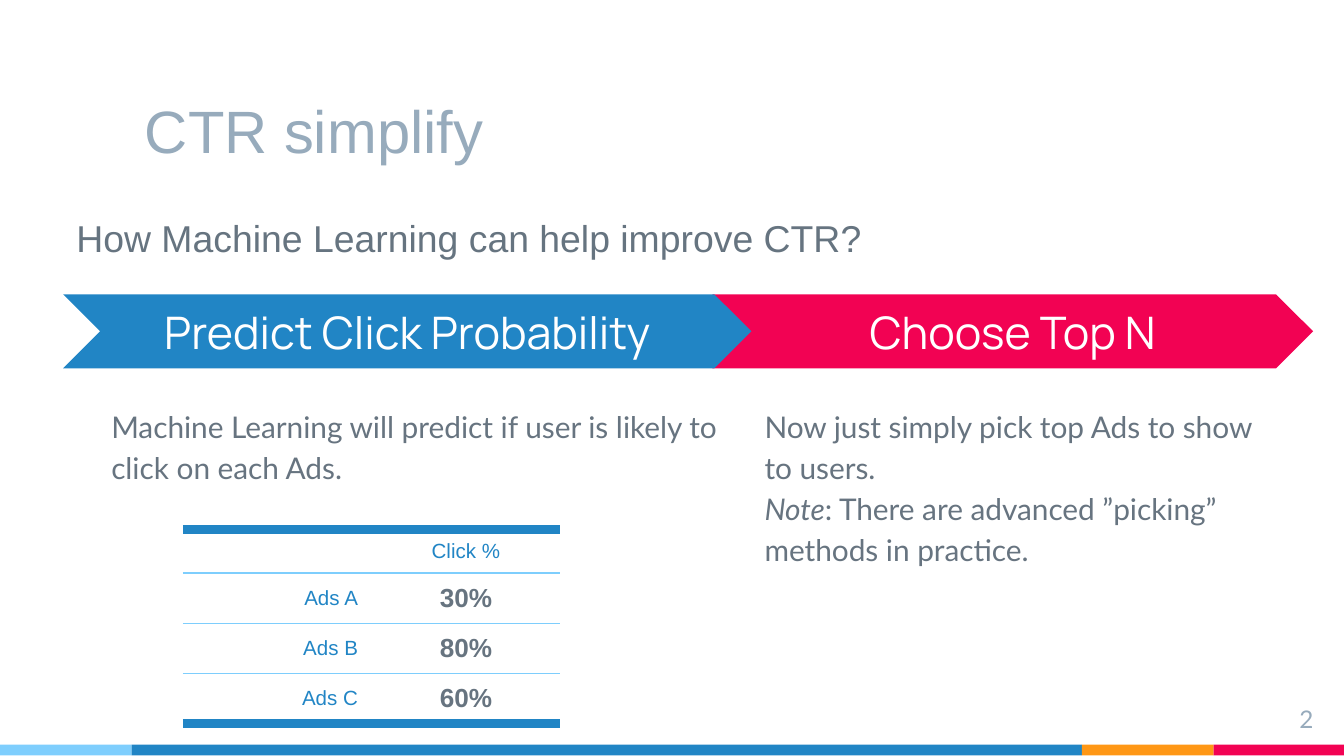
from dataclasses import dataclass

import lxml.etree
import pptx
import pptx.dml.color
import pptx.enum.shapes
import pptx.enum.text
import pptx.oxml.ns
import pptx.util

Inches = pptx.util.Inches
Pt = pptx.util.Pt
Align = pptx.enum.text.PP_ALIGN
Anchor = pptx.enum.text.MSO_ANCHOR
Preset = pptx.enum.shapes.MSO_SHAPE

BLUE, SKY, PINK, ORANGE = "2185C5", "7ECEFD", "F20253", "FF9715"
WHITE, SLATE, MIST = "FFFFFF", "677480", "97ABBC"


@dataclass
class Box:
    left: float
    top: float
    width: float
    height: float

    def lengths(self) -> tuple:
        return tuple(Inches(n) for n in (self.left, self.top, self.width, self.height))


@dataclass
class Style:
    font: str
    size: float
    color: str
    align: Align = Align.LEFT
    anchor: Anchor = Anchor.TOP
    spacing: float = 1.0
    bold: bool = False


@dataclass
class Label:
    box: Box
    paragraphs: list
    style: Style


@dataclass
class Step:
    box: Box
    text: str
    color: str


def rgb(color: str) -> pptx.dml.color.RGBColor:
    return pptx.dml.color.RGBColor.from_string(color)


def style_paragraph(paragraph, style: Style) -> None:
    paragraph.alignment = style.align
    paragraph.line_spacing = style.spacing
    font = paragraph.font
    font.name, font.size, font.bold = style.font, Pt(style.size), style.bold
    font.color.rgb = rgb(style.color)


def fill_frame(frame, paragraphs: list, style: Style) -> None:
    """Write paragraphs given as lists of (text, italic) runs."""
    frame.word_wrap = True
    frame.vertical_anchor = style.anchor
    frame.margin_left = frame.margin_right = Inches(0.1)
    frame.margin_top = frame.margin_bottom = Inches(0.1)
    for index, runs in enumerate(paragraphs):
        paragraph = frame.add_paragraph() if index else frame.paragraphs[0]
        style_paragraph(paragraph, style)
        for text, italic in runs:
            run = paragraph.add_run()
            run.text = text
            if italic:
                run.font.italic = True


def add_label(slide, label: Label) -> None:
    shape = slide.shapes.add_textbox(*label.box.lengths())
    fill_frame(shape.text_frame, label.paragraphs, label.style)


def add_filled(slide, preset: Preset, box: Box, color: str):
    shape = slide.shapes.add_shape(preset, *box.lengths())
    shape.shadow.inherit = False
    shape.fill.solid()
    shape.fill.fore_color.rgb = rgb(color)
    shape.line.fill.background()
    return shape


def add_step(slide, step: Step) -> None:
    shape = add_filled(slide, Preset.CHEVRON, step.box, step.color)
    shape.adjustments[0] = 0.5
    style = Style("Manrope", 24, WHITE, Align.CENTER, Anchor.MIDDLE)
    fill_frame(shape.text_frame, [[(step.text, False)]], style)


def add_border(cell, side: str, color: str = "", width: float = 0) -> None:
    properties = cell._tc.get_or_add_tcPr()
    tag = pptx.oxml.ns.qn
    line = lxml.etree.SubElement(properties, tag(f"a:ln{side}"), w=str(Pt(width)))
    if not color:
        lxml.etree.SubElement(line, tag("a:noFill"))
        return
    fill = lxml.etree.SubElement(line, tag("a:solidFill"))
    lxml.etree.SubElement(fill, tag("a:srgbClr"), val=color)


def add_click_table(slide, box: Box, rows: list, heights: list) -> None:
    frame = slide.shapes.add_table(len(rows), len(rows[0]), *box.lengths())
    table = frame.table
    table.first_row = table.horz_banding = False
    thick, thin = (BLUE, 6), (SKY, 0.75)
    name_style = Style("Arial", 11, BLUE, Align.RIGHT)
    head_style = Style("Arial", 11, BLUE, Align.CENTER)
    value_style = Style("Arial", 14, SLATE, Align.CENTER, bold=True)
    for row, (texts, height) in enumerate(zip(rows, heights)):
        table.rows[row].height = Inches(height)
        for column, text in enumerate(texts):
            cell = table.cell(row, column)
            cell.vertical_anchor = Anchor.MIDDLE
            cell.margin_left = cell.margin_right = Inches(0.1)
            cell.margin_top = cell.margin_bottom = Inches(0.07 if text else 0)
            add_border(cell, "L")
            add_border(cell, "R")
            add_border(cell, "T", *(thin if row else thick))
            add_border(cell, "B", *(thick if row == len(rows) - 1 else thin))
            cell.fill.background()
            cell.text = text
            style = name_style if column == 0 else value_style if row else head_style
            style_paragraph(cell.text_frame.paragraphs[0], style)


def main() -> None:
    presentation = pptx.Presentation()
    presentation.slide_width = Inches(10)
    presentation.slide_height = Inches(10 * 9 / 16)
    slide = presentation.slides.add_slide(presentation.slide_layouts[6])

    left = 0
    for width, color in [(0.98, SKY), (7.07, BLUE), (0.98, ORANGE), (0.97, PINK)]:
        add_filled(slide, Preset.RECTANGLE, Box(left, 5.54, width, 0.08), color)
        left += width

    for step in [
        Step(Box(5.3, 2.19, 4.47, 0.55), "Choose Top N", PINK),
        Step(Box(0.47, 2.19, 5.12, 0.55), "Predict Click Probability", BLUE),
    ]:
        add_step(slide, step)

    body = Style("Lato", 16, SLATE, spacing=1.15)
    predict = "Machine Learning will predict if user is likely to click on each Ads."
    pick = "Now just simply pick top Ads to show to users."
    note = [("Note", True), (": There are advanced ”picking” methods in practice.", False)]
    question = "How Machine Learning can help improve CTR?"
    for label in [
        Label(Box(0.98, 0.39, 7.07, 0.94), [[("CTR simplify", False)]],
              Style("Arial", 32, MIST, anchor=Anchor.BOTTOM)),
        Label(Box(0.47, 1.5, 9.03, 0.55), [[(question, False)]],
              Style("Arial", 20, "667480")),
        Label(Box(0.73, 2.9, 4.73, 1.48), [[(predict, False)]], body),
        Label(Box(5.59, 2.9, 3.91, 2.24), [[(pick, False)], note], body),
        Label(Box(9.27, 5.14, 0.6, 0.34), [[("2", False)]],
              Style("Lato", 13, MIST, Align.RIGHT)),
    ]:
        add_label(slide, label)

    rows = [("", "Click %"), ("Ads A", "30%"), ("Ads B", "80%"), ("Ads C", "60%")]
    heights = [0.3] + [0.35] * 3
    add_click_table(slide, Box(1.36, 3.94, 2.81, 1.48), rows, heights)
    presentation.save("out.pptx")


if __name__ == "__main__":
    main()
